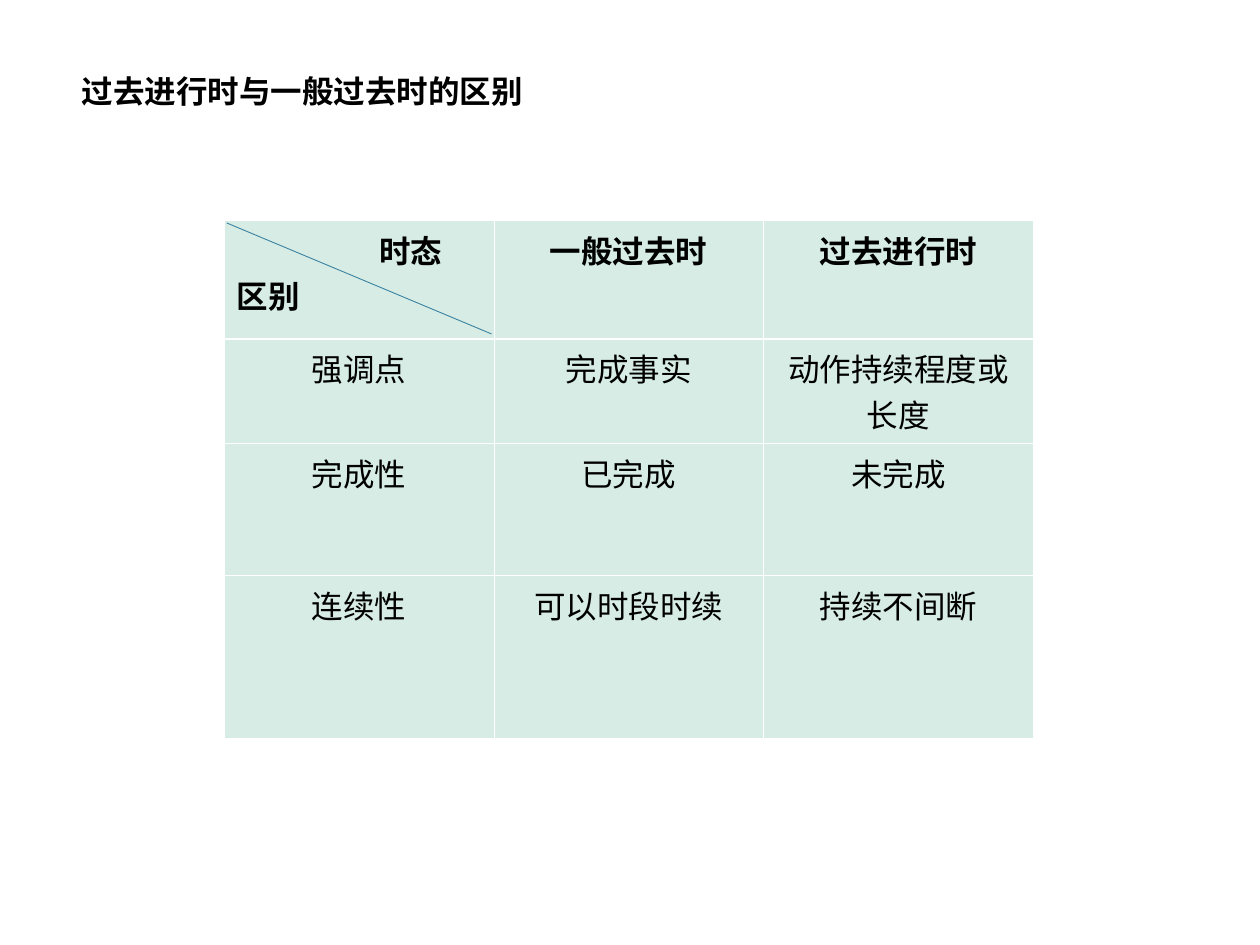
from dataclasses import dataclass

from lxml.etree import SubElement
from pptx import Presentation
from pptx.dml.color import RGBColor
from pptx.enum.shapes import MSO_CONNECTOR
from pptx.enum.text import MSO_ANCHOR, MSO_AUTO_SIZE, PP_ALIGN
from pptx.oxml.ns import qn
from pptx.util import Inches, Pt

TITLE = "过去进行时与一般过去时的区别"
ROWS = [
    ["时态\n区别", "一般过去时", "过去进行时"],
    ["强调点", "完成事实", "动作持续程度或长度"],
    ["完成性", "已完成", "未完成"],
    ["连续性", "可以时段时续", "持续不间断"],
]
HEIGHTS = [0.94, 0.83, 1.05, 1.29]
LEFT, TOP, COLUMN = 1.78, 1.75, 2.14
INDENT = 1.13


@dataclass(frozen=True)
class Theme:
    font: str = "Arial"
    size: float = 18
    ink: str = "000000"
    cell: str = "D6ECE5"
    rule: str = "FFFFFF"
    slash: str = "3A82A1"
    thin: float = 0.45
    thick: float = 1.47


THEME = Theme()


def style(par, bold, align):
    par.alignment = align
    font = par.font
    font.name, font.size, font.bold = THEME.font, Pt(THEME.size), bold
    font.color.rgb = RGBColor.from_string(THEME.ink)


def border(cell, widths):
    """Draw the left, right, top and bottom rules, in that order."""
    props = cell._tc.get_or_add_tcPr()
    for side, width in zip("LRTB", widths):
        line = SubElement(props, qn(f"a:ln{side}"), w=str(Pt(width)))
        fill = SubElement(line, qn("a:solidFill"))
        SubElement(fill, qn("a:srgbClr"), val=THEME.rule)


def add_title(slide):
    title = slide.shapes.title
    title.left, title.top = Inches(0.55), Inches(0.48)
    title.width, title.height = Inches(8.9), Inches(0.48)
    frame = title.text_frame
    frame.text = TITLE
    frame.auto_size = MSO_AUTO_SIZE.NONE
    frame.vertical_anchor = MSO_ANCHOR.MIDDLE
    style(frame.paragraphs[0], True, PP_ALIGN.LEFT)


def add_grid(slide):
    count = len(ROWS[0])
    table = slide.shapes.add_table(
        len(ROWS), count, Inches(LEFT), Inches(TOP),
        Inches(COLUMN * count), Inches(sum(HEIGHTS))).table
    for column in table.columns:
        column.width = Inches(COLUMN)
    for r, (texts, height) in enumerate(zip(ROWS, HEIGHTS)):
        table.rows[r].height = Inches(height)
        above = THEME.thick if r == 1 else THEME.thin
        below = THEME.thick if r == 0 else THEME.thin
        for c, text in enumerate(texts):
            cell = table.cell(r, c)
            cell.text = text
            border(cell, (THEME.thin, THEME.thin, above, below))
            cell.fill.solid()
            cell.fill.fore_color.rgb = RGBColor.from_string(THEME.cell)
            align = PP_ALIGN.LEFT if r == c == 0 else PP_ALIGN.CENTER
            for par in cell.text_frame.paragraphs:
                style(par, r == 0, align)
    corner = table.cell(0, 0).text_frame.paragraphs[0]
    corner._p.get_or_add_pPr().set("marL", str(Inches(INDENT)))


def add_slash(slide):
    """Split the corner cell between its two labels."""
    line = slide.shapes.add_connector(
        MSO_CONNECTOR.STRAIGHT, Inches(LEFT + 0.02), Inches(TOP + 0.02),
        Inches(LEFT + COLUMN - 0.02), Inches(TOP + 0.9))
    line.line.color.rgb = RGBColor.from_string(THEME.slash)
    line.line.width = Pt(0.5)
    SubElement(line._element.spPr, qn("a:effectLst"))


def main():
    deck = Presentation()
    deck.slide_width, deck.slide_height = Inches(10), Inches(7.5)
    slide = deck.slides.add_slide(deck.slide_layouts[5])
    add_title(slide)
    add_grid(slide)
    add_slash(slide)
    deck.save("out.pptx")


if __name__ == "__main__":
    main()
